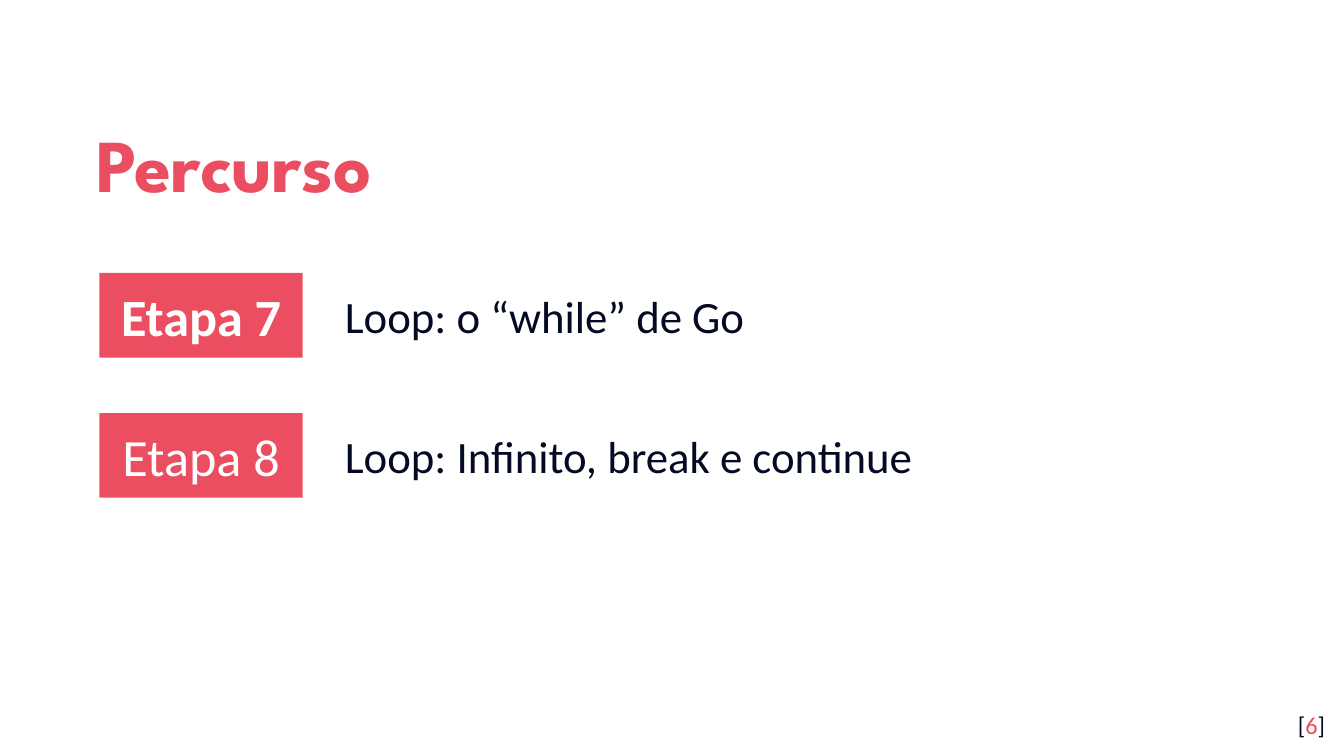
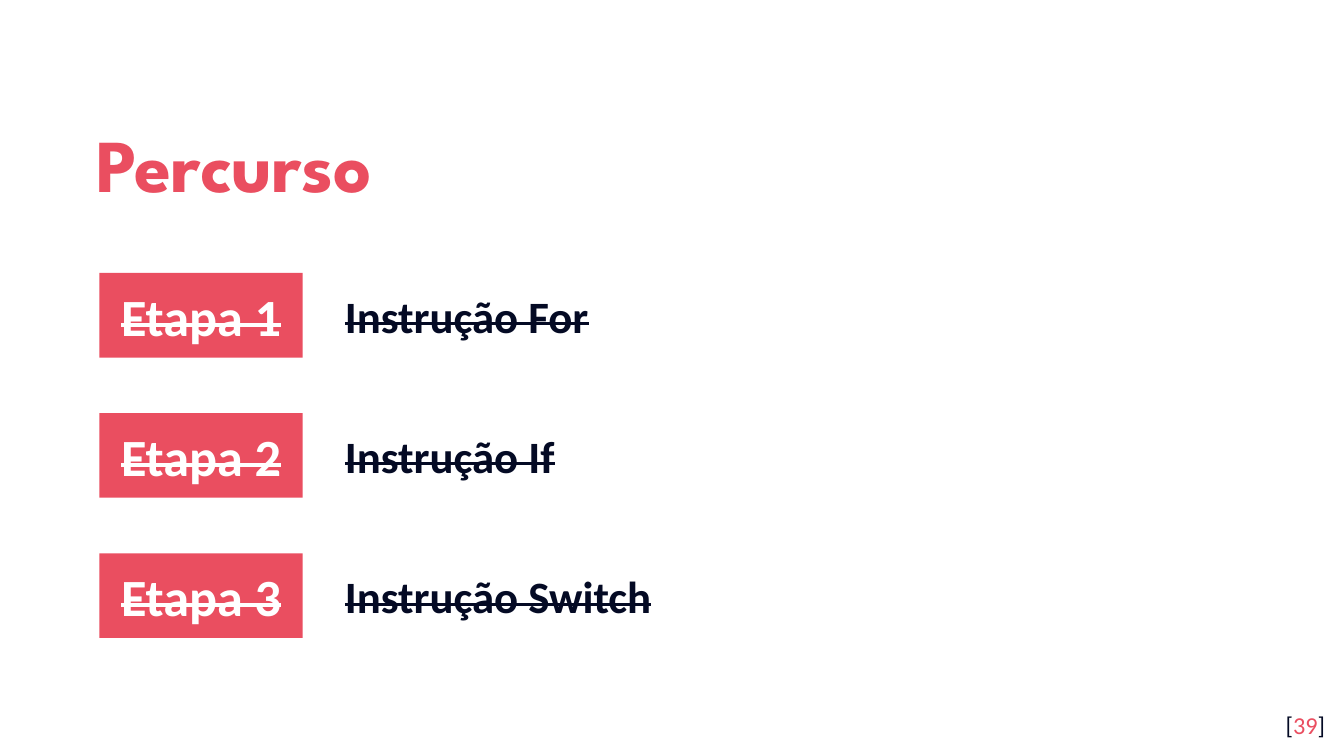
"""Builds the "Percurso" slides, which list the stages of the course."""
from pptx import Presentation
from pptx import util as u
from pptx.dml.color import RGBColor
from pptx.enum import shapes, text

PINK, NAVY, WHITE = "EA4E60", "040A24", "FFFFFF"
BODY_FONT, TITLE_FONT = "Calibri", "League Spartan"

SLIDES = [
    {"title": "Percurso", "number": "6", "stages": [
        ("Etapa 7", "Loop: o “while” de Go", {"tag_bold": True}),
        ("Etapa 8", "Loop: Infinito, break e continue", {}),
    ]},
    {"title": "Percurso", "number": "39", "stages": [
        (f"Etapa {step}", f"Instrução {keyword}",
         {"tag_bold": True, "topic_bold": True, "done": True})
        for step, keyword in enumerate(("For", "If", "Switch"), 1)
    ]},
]

TITLE_BOX = (1.57, 1.78, 20.57, 2.34)
NUMBER_BOX = (23.77, 13.18, 1.52, 1.09)
TAG_LEFT, TAG_WIDTH, TAG_HEIGHT = 1.88, 3.84, 1.6
TOPIC_LEFT, TOPIC_WIDTH, TOPIC_HEIGHT = 6.27, 17.15, 1.27
FIRST_TOP, STAGE_STEP = 5.16, 2.65


def rgb(value):
    """Turn a hex string into a colour."""
    return RGBColor.from_string(value)


def add_text(page, place, spans, size, font=BODY_FONT, bold=False, strike=False,
             align=text.PP_ALIGN.LEFT, anchor=text.MSO_ANCHOR.TOP, inset=0.25,
             fill=None, level=0, spacing=None, margin=0, indent=0):
    """Add a text box, or a filled rectangle, with (words, colour) spans."""
    place = [u.Cm(length) for length in place]
    if fill:
        box = page.shapes.add_shape(shapes.MSO_SHAPE.RECTANGLE, *place)
        box.shadow.inherit = False
        box.fill.solid()
        box.fill.fore_color.rgb = rgb(fill)
        box.line.fill.background()
    else:
        box = page.shapes.add_textbox(*place)
    frame = box.text_frame
    frame.word_wrap = True
    frame.vertical_anchor = anchor
    frame.margin_left = frame.margin_right = u.Cm(0.25)
    frame.margin_top = frame.margin_bottom = u.Cm(inset)
    para = frame.paragraphs[0]
    para.alignment = align
    para.level = level
    para.line_spacing = spacing
    properties = para._p.get_or_add_pPr()
    properties.set("marL", str(u.Cm(margin)))
    properties.set("indent", str(u.Cm(indent)))
    for words, colour in spans:
        span = para.add_run()
        span.text = words
        span.font.name = font
        span.font.size = u.Pt(size)
        span.font.bold = bold
        span.font.color.rgb = rgb(colour)
        if strike:
            span._r.get_or_add_rPr().set("strike", "sngStrike")
    return box


def add_stage(page, row, tag, topic, tag_bold=False, topic_bold=False, done=False):
    """Add one row: the stage tag and its topic, centred on the tag."""
    top = FIRST_TOP + row * STAGE_STEP
    add_text(page, (TAG_LEFT, top, TAG_WIDTH, TAG_HEIGHT), [(tag, WHITE)], 28,
             bold=tag_bold, strike=done, fill=PINK, level=1,
             align=text.PP_ALIGN.CENTER, anchor=text.MSO_ANCHOR.MIDDLE)
    topic_top = top + (TAG_HEIGHT - TOPIC_HEIGHT) / 2
    add_text(page, (TOPIC_LEFT, topic_top, TOPIC_WIDTH, TOPIC_HEIGHT),
             [(topic, NAVY)], 24, bold=topic_bold, strike=done, inset=0.13,
             margin=1.27, indent=-1.27)


def add_page(deck, title, number, stages):
    """Add a slide with its title, stages and page number."""
    page = deck.slides.add_slide(deck.slide_layouts[6])
    page.background.fill.solid()
    page.background.fill.fore_color.rgb = rgb(WHITE)
    add_text(page, TITLE_BOX, [(title, PINK)], 40, font=TITLE_FONT, bold=True,
             anchor=text.MSO_ANCHOR.MIDDLE, spacing=1.15)
    for row, (tag, topic, style) in enumerate(stages):
        add_stage(page, row, tag, topic, **style)
    add_text(page, NUMBER_BOX, [("[", NAVY), (number, PINK), ("]", NAVY)], 13,
             align=text.PP_ALIGN.RIGHT)


def main():
    """Build and save the deck."""
    deck = Presentation()
    deck.slide_width, deck.slide_height = u.Cm(25.4), u.Cm(14.29)
    for content in SLIDES:
        add_page(deck, **content)
    deck.save("out.pptx")


if __name__ == "__main__":
    main()
